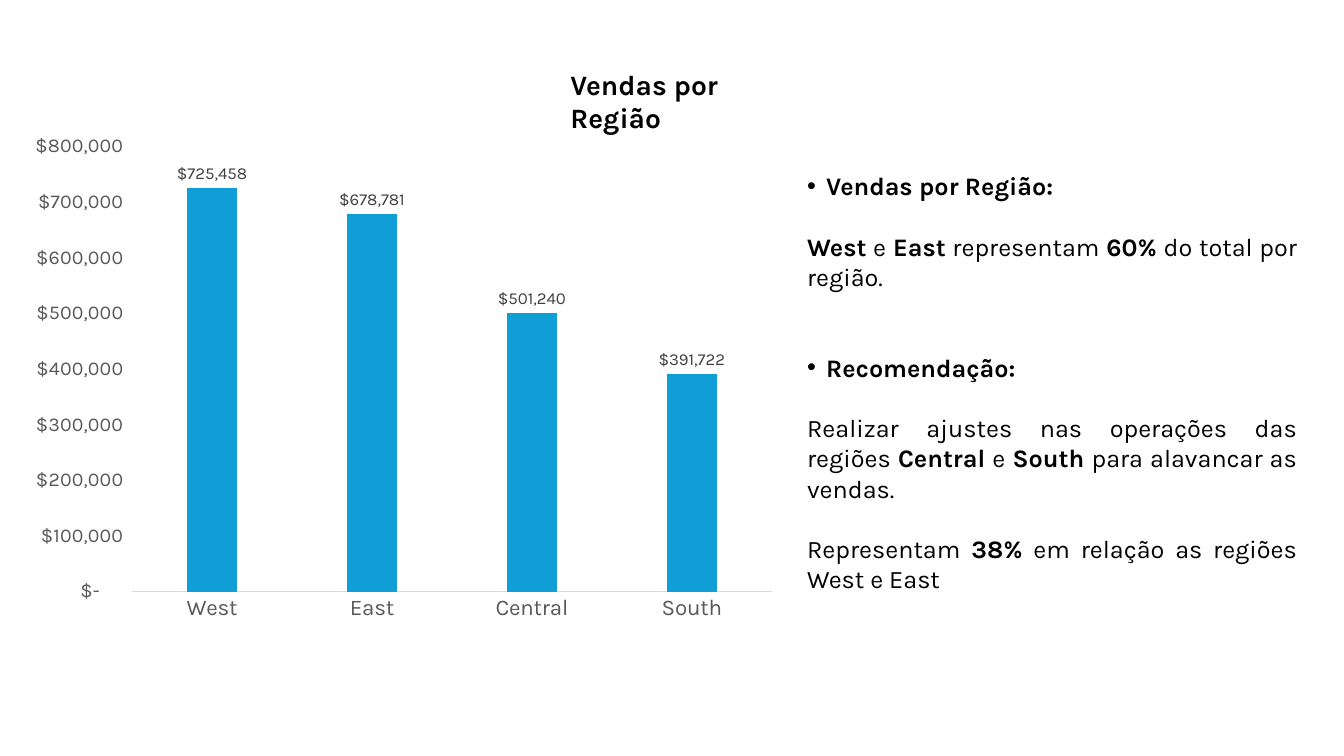
from lxml import etree
from pptx import Presentation
from pptx.chart.data import CategoryChartData
from pptx.dml.color import RGBColor
from pptx.enum.chart import XL_CHART_TYPE, XL_LABEL_POSITION, XL_TICK_MARK
from pptx.enum.text import MSO_ANCHOR, MSO_AUTO_SIZE, PP_ALIGN
from pptx.oxml.ns import qn
from pptx.util import Cm, Pt

COLUMN_CLUSTERED = XL_CHART_TYPE.COLUMN_CLUSTERED
OUTSIDE_END = XL_LABEL_POSITION.OUTSIDE_END
NO_TICK = XL_TICK_MARK.NONE
TOP = MSO_ANCHOR.TOP
NO_AUTOFIT = MSO_AUTO_SIZE.NONE
LEFT, JUSTIFY = PP_ALIGN.LEFT, PP_ALIGN.JUSTIFY

FONT = "Karla"
COLORS = {
    "text": "000000",
    "bar": "0F9ED5",
    "axis": "595959",
    "label": "404040",
    "line": "D9D9D9",
}
CURRENCY = '_-[$$-409]* #,##0_ ;_-[$$-409]* \\-#,##0\\ ;_-[$$-409]* "-"??_ ;_-@_ '
SALES = {"West": 725458, "East": 678781, "Central": 501240, "South": 391722}
TITLE = "Vendas por Região"
LINE = 21.6
BULLET_INDENT = Cm(0.48)
COMMENTS = [
    (0, True, "**Vendas por Região:**"),
    (1, False, "**West** e **East** representam **60%** do total por região."),
    (2, True, "**Recomendação:**"),
    (1, False, "Realizar ajustes nas operações das regiões **Central** e **South** "
               "para alavancar as vendas."),
    (1, False, "Representam **38%** em relação as regiões West e East"),
]


def color(name):
    return RGBColor.from_string(COLORS[name])


def format_font(font, size, color_name, bold=None):
    font.name = FONT
    font.size = Pt(size)
    font.color.rgb = color(color_name)
    font.bold = bold


def add_bullet(paragraph):
    properties = paragraph._p.get_or_add_pPr()
    properties.set("marL", str(BULLET_INDENT))
    properties.set("indent", str(-BULLET_INDENT))
    etree.SubElement(properties, qn("a:buFont")).set("typeface", "Arial")
    etree.SubElement(properties, qn("a:buChar")).set("char", "•")


def place_title(slide, left, top, width, height):
    title = slide.shapes.title
    title.left, title.top, title.width, title.height = left, top, width, height
    frame = title.text_frame
    frame.text = TITLE
    frame.word_wrap = True
    frame.auto_size = NO_AUTOFIT
    frame.vertical_anchor = TOP
    paragraph = frame.paragraphs[0]
    paragraph.alignment = LEFT
    format_font(paragraph.font, 20, "text", True)


def add_sales_chart(slide, left, top, width, height):
    data = CategoryChartData(number_format=CURRENCY)
    data.categories = list(SALES)
    data.add_series("Series 1", list(SALES.values()))
    chart = slide.shapes.add_chart(COLUMN_CLUSTERED, left, top, width, height, data).chart
    chart.has_legend = False
    chart.has_title = False
    format_font(chart.font, 10, "text")

    plot = chart.plots[0]
    plot.gap_width = 219
    plot.overlap = -27
    plot.vary_by_categories = False
    fill = plot.series[0].format.fill
    fill.solid()
    fill.fore_color.rgb = color("bar")

    plot.has_data_labels = True
    labels = plot.data_labels
    labels.show_value = True
    labels.position = OUTSIDE_END
    labels.number_format = CURRENCY
    labels.number_format_is_linked = False
    format_font(labels.font, 12, "label")

    for axis, size in ((chart.category_axis, 16), (chart.value_axis, 14)):
        axis.major_tick_mark = NO_TICK
        axis.minor_tick_mark = NO_TICK
        axis.has_major_gridlines = False
        format_font(axis.tick_labels.font, size, "axis")
    category_line = chart.category_axis.format.line
    category_line.color.rgb = color("line")
    category_line.width = Pt(0.75)
    value_axis = chart.value_axis
    value_axis.format.line.fill.background()
    value_axis.minimum_scale = 0
    value_axis.maximum_scale = 800000
    value_axis.major_unit = 100000
    value_axis.tick_labels.number_format = CURRENCY
    value_axis.tick_labels.number_format_is_linked = False


def add_comments(slide, left, top, width, height):
    frame = slide.shapes.add_textbox(left, top, width, height).text_frame
    frame.word_wrap = True
    for index, (gap_lines, bulleted, text) in enumerate(COMMENTS):
        paragraph = frame.add_paragraph() if index else frame.paragraphs[0]
        paragraph.alignment = JUSTIFY
        paragraph.space_before = Pt(gap_lines * LINE)
        if bulleted:
            add_bullet(paragraph)
        format_font(paragraph.font, 18, "text")
        for position, part in enumerate(text.split("**")):
            if part:
                run = paragraph.add_run()
                run.text = part
                run.font.bold = position % 2 == 1


def main():
    presentation = Presentation()
    presentation.slide_width = Cm(33.87)
    presentation.slide_height = Cm(19.05)
    slide = presentation.slides.add_slide(presentation.slide_layouts[5])
    add_sales_chart(slide, Cm(0.38), Cm(3.15), Cm(19.46), Cm(12.75))
    place_title(slide, Cm(14.12), Cm(1.57), Cm(6.5), Cm(1.12))
    add_comments(slide, Cm(20.09), Cm(4.17), Cm(12.85), Cm(10.26))
    presentation.save("out.pptx")


if __name__ == "__main__":
    main()
